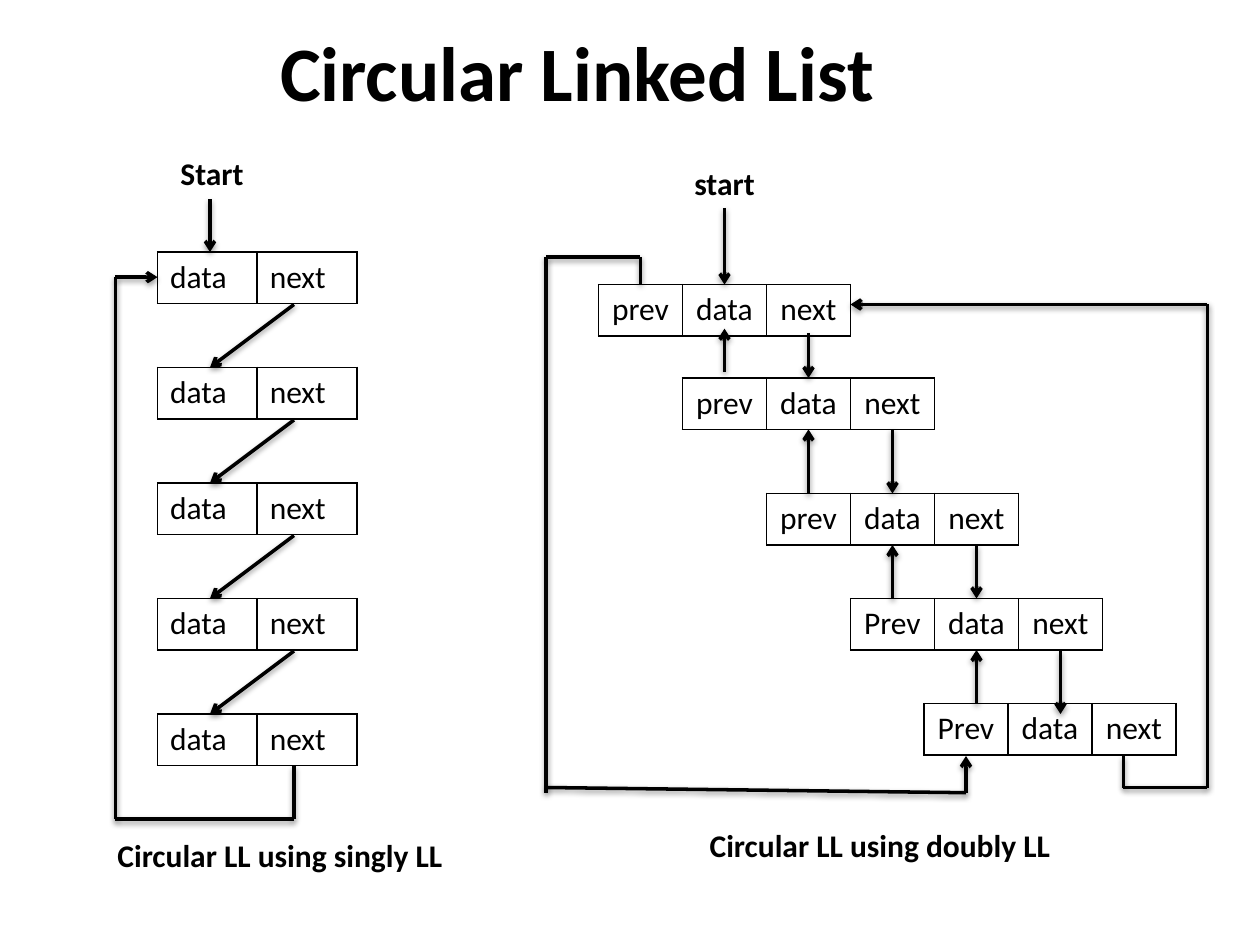
from lxml import etree
from pptx import Presentation
from pptx.dml.color import RGBColor
from pptx.enum.shapes import MSO_CONNECTOR as Conn
from pptx.enum.text import MSO_ANCHOR as Anchor, MSO_AUTO_SIZE as AutoSize, PP_ALIGN as Align
from pptx.oxml import parse_xml
from pptx.oxml.ns import nsdecls, qn
from pptx.util import Inches, Pt

BLACK = RGBColor(0, 0, 0)
FONT = "Calibri"
COLS, ROWS = 120, 90  # grid of 1/12 inch squares
ROW_H = 4.9
SHADOW = (
    f'<a:effectLst {nsdecls("a")}>'
    '<a:outerShdw blurRad="40000" dist="20000" dir="5400000" rotWithShape="0">'
    '<a:srgbClr val="000000"><a:alpha val="38000"/></a:srgbClr>'
    '</a:outerShdw></a:effectLst>'
)


def grid(n):
    return Inches(n / 12)


def add_run(p, text, size=18, bold=False):
    r = p.add_run()
    r.text = text
    r.font.name, r.font.size, r.font.bold = FONT, Pt(size), bold
    r.font.color.rgb = BLACK


def add_label(s, text, x, y, w, h=4.85, size=18, align=Align.LEFT, wrap=False):
    tf = s.shapes.add_textbox(grid(x), grid(y), grid(w), grid(h)).text_frame
    tf.word_wrap = wrap
    tf.auto_size = AutoSize.NONE
    tf.vertical_anchor = Anchor.MIDDLE
    p = tf.paragraphs[0]
    p.alignment = align
    add_run(p, text, size, bold=True)


def set_borders(cell):
    tc_pr = cell._tc.get_or_add_tcPr()
    for i, side in enumerate(("lnL", "lnR", "lnT", "lnB")):
        tc_pr.insert(i, parse_xml(
            f'<a:{side} {nsdecls("a")} w="12700"><a:solidFill>'
            f'<a:srgbClr val="{BLACK}"/></a:solidFill></a:{side}>'))


def add_node(s, x, y, fields, col_w, align=Align.LEFT):
    table = s.shapes.add_table(1, len(fields), grid(x), grid(y),
                               grid(col_w * len(fields)), grid(ROW_H)).table
    table.first_row = table.horz_banding = False
    for i, field in enumerate(fields):
        table.columns[i].width = grid(col_w)
        cell = table.cell(0, i)
        cell.fill.background()
        set_borders(cell)
        p = cell.text_frame.paragraphs[0]
        p.alignment = align
        add_run(p, field)


def add_line(s, start, end, arrow=False):
    c = s.shapes.add_connector(Conn.STRAIGHT, *map(grid, start + end))
    c.line.color.rgb = BLACK
    c.line.width = Pt(2)
    if arrow:
        etree.SubElement(c.line._get_or_add_ln(), qn("a:tailEnd"), type="arrow")
    c._element.spPr.append(parse_xml(SHADOW))


def add_route(s, *points, arrow=False):
    """Chain of lines; the arrowhead goes on the last one."""
    last = len(points) - 2
    for i, (start, end) in enumerate(zip(points, points[1:])):
        add_line(s, start, end, arrow and i == last)


def draw_singly(s):
    count, top, step = 5, 24, 11
    for i in range(count):
        y = top + i * step
        add_node(s, 15, y, ("data", "next"), 9.5)
        if i < count - 1:
            add_line(s, (28, y + 5), (20, y + step), arrow=True)

    # Last node back to the first, and the start pointer
    add_route(s, (28, 73), (28, 78), (11, 78), (11, 26.4), (15, 26.4), arrow=True)
    add_line(s, (20, 19), (20, top), arrow=True)
    add_label(s, "Start", 16, 14, 8.5)
    add_label(s, "Circular LL using singly LL", 10, 79, 33.6)


def draw_doubly(s):
    nodes = [(57, 27.1, "prev"), (65, 36, "prev"), (73, 47, "prev"),
             (81, 57, "Prev"), (88, 67, "Prev")]
    for x, y, prev in nodes:
        add_node(s, x, y, (prev, "data", "next"), 8, Align.CENTER)

    # Links between neighbours: (next from, next to), (prev from, prev to)
    links = [((31.7, 36), (35.4, 31.3)), ((40.9, 47), (47, 40.9)),
             ((51.9, 57), (57, 51.9)), ((62, 68), (67, 61.9))]
    for i, (down, up) in enumerate(links):
        for x, (y1, y2) in ((77 + 8 * i, down), (69 + 8 * i, up)):
            add_line(s, (x, y1), (x, y2), arrow=True)

    # First node's prev round to the last node
    add_route(s, (61, 27), (61, 24.5), (52, 24.5), (52, 75.5))
    add_route(s, (52, 75), (92, 75.5), (92, 72), arrow=True)
    # Last node's next round to the first node
    add_route(s, (107, 72), (107, 75), (115, 75), (115, 29), (81, 29), arrow=True)

    # Start pointer and caption
    add_line(s, (69, 19.8), (69, 27.1), arrow=True)
    add_label(s, "start", 64, 15, 10, align=Align.CENTER, wrap=True)
    add_label(s, "Circular LL using doubly LL", 66.4, 78, 35.2)


def main():
    prs = Presentation()
    prs.slide_width, prs.slide_height = grid(COLS), grid(ROWS)
    s = prs.slides.add_slide(prs.slide_layouts[6])
    add_label(s, "Circular Linked List", 6, 1, 98, 11.4, 44, Align.CENTER, True)
    draw_singly(s)
    draw_doubly(s)
    prs.save("out.pptx")


if __name__ == "__main__":
    main()
